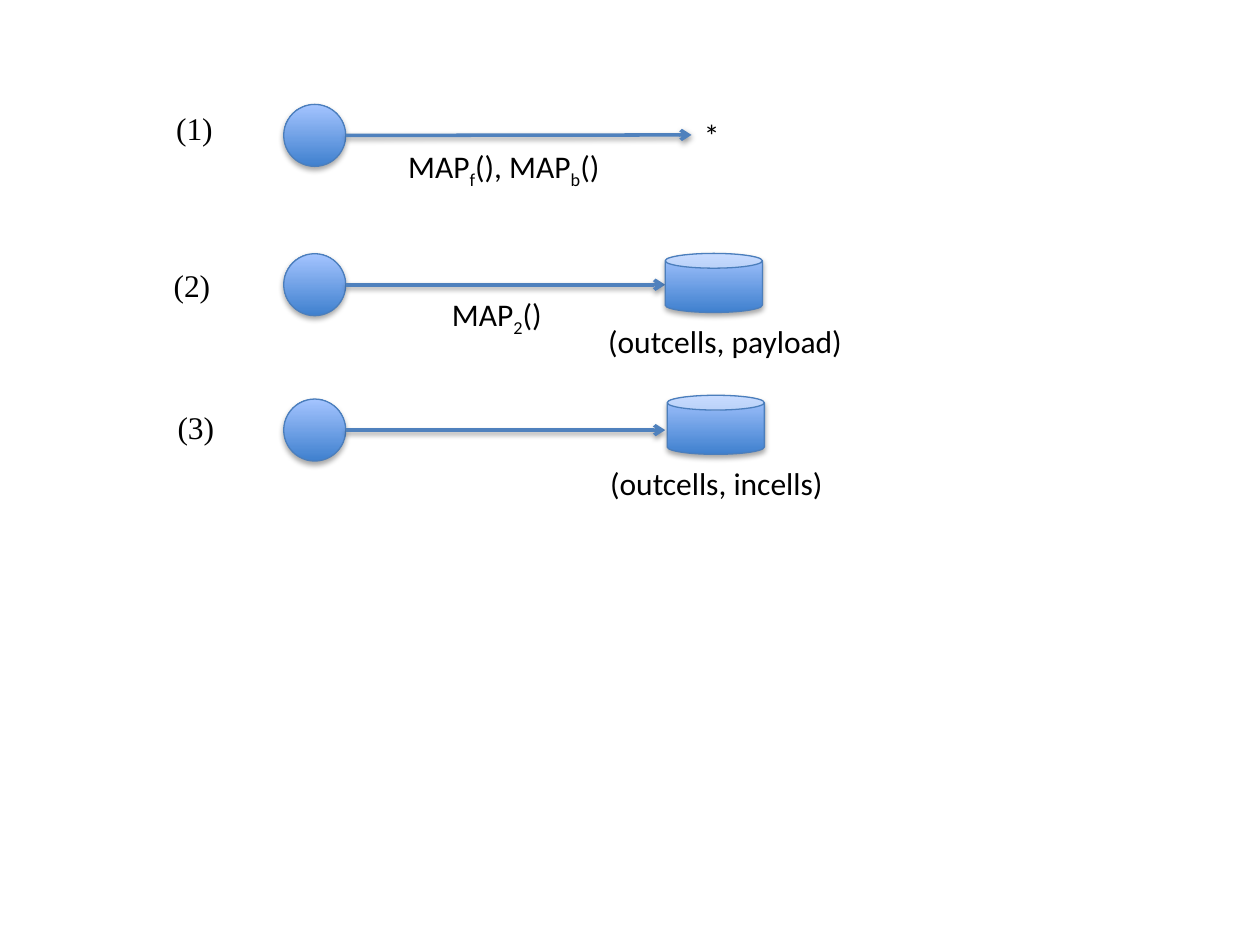
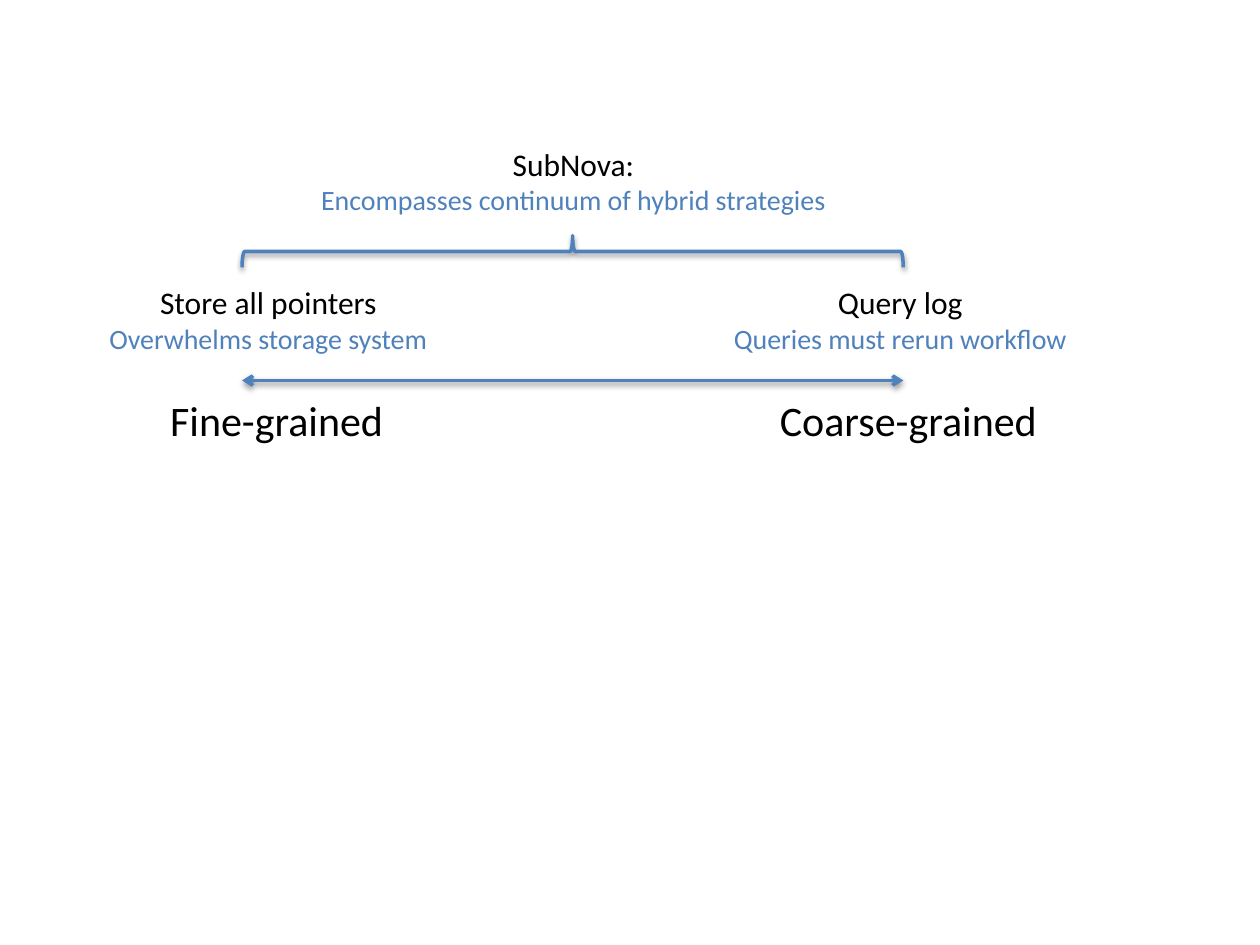
from lxml.etree import SubElement
from pptx import Presentation
from pptx.dml.color import RGBColor
from pptx.enum.shapes import MSO_CONNECTOR, MSO_SHAPE
from pptx.enum.text import MSO_AUTO_SIZE, PP_ALIGN
from pptx.oxml.ns import qn
from pptx.util import Cm, Pt

BLACK = RGBColor(0x00, 0x00, 0x00)
BLUE = RGBColor(0x4F, 0x81, 0xBD)
OUTLINE = RGBColor(0x4B, 0x7E, 0xBC)
DEEP_BLUE = RGBColor(0x3F, 0x80, 0xCE)
PALE_BLUE = RGBColor(0xA4, 0xC4, 0xFF)


class Diagram:
    body_font = "Calibri"
    number_font = "Times New Roman"
    node_size = 1.25
    store_width, store_height = 1.96, 1.19

    def __init__(self):
        self.deck = Presentation()
        self.deck.slide_width = Cm(25.4)
        self.deck.slide_height = Cm(19.05)
        self.slide = None

    def new_slide(self):
        self.slide = self.deck.slides.add_slide(self.deck.slide_layouts[6])

    def cast_shadow(self, properties, distance, opacity):
        effects = properties.find(qn("a:effectLst"))
        if effects is None:
            effects = SubElement(properties, qn("a:effectLst"))
        shadow = SubElement(effects, qn("a:outerShdw"), blurRad=str(Pt(3.15)),
                            dist=str(Pt(distance)), dir="5400000", rotWithShape="0")
        color = SubElement(shadow, qn("a:srgbClr"), val=str(BLACK))
        SubElement(color, qn("a:alpha"), val=str(opacity * 1000))

    def solid(self, kind, left, top, width, height):
        shape = self.slide.shapes.add_shape(kind, Cm(left), Cm(top), Cm(width), Cm(height))
        shape.fill.gradient()
        shape.fill.gradient_angle = 90
        for stop, color in zip(shape.fill.gradient_stops, (DEEP_BLUE, PALE_BLUE)):
            stop.color.rgb = color
        shape.line.color.rgb = OUTLINE
        shape.line.width = Pt(0.75)
        shape.shadow.inherit = False
        self.cast_shadow(shape.element.spPr, 1.8, 35)

    def node(self, left, middle):
        self.solid(MSO_SHAPE.OVAL, left, middle - self.node_size / 2,
                   self.node_size, self.node_size)

    def store(self, left, top, contents, contents_width):
        self.solid(MSO_SHAPE.CAN, left, top, self.store_width, self.store_height)
        self.label(left - 1.4, top + 1.26, contents_width, contents)

    def arrow(self, start, end, both_ends=False):
        line = self.slide.shapes.add_connector(
            MSO_CONNECTOR.STRAIGHT, *(Cm(value) for value in start + end))
        line.line.color.rgb = BLUE
        line.line.width = Pt(2)
        properties = line.element.spPr
        outline = properties.find(qn("a:ln"))
        for tip in ("a:headEnd", "a:tailEnd")[0 if both_ends else 1:]:
            SubElement(outline, qn(tip), type="arrow")
        self.cast_shadow(properties, 1.6, 38)

    def brace(self, left, right, middle, depth):
        span = right - left
        brace = self.slide.shapes.add_shape(
            MSO_SHAPE.RIGHT_BRACE, Cm((left + right - depth) / 2), Cm(middle - span / 2),
            Cm(depth), Cm(span))
        brace.rotation = 270
        brace.fill.background()
        brace.line.color.rgb = BLUE
        brace.line.width = Pt(2)
        brace.shadow.inherit = False
        self.cast_shadow(brace.element.spPr, 1.6, 38)

    def text_frame(self, left, top, width, height):
        box = self.slide.shapes.add_textbox(Cm(left), Cm(top), Cm(width), Cm(height))
        box.text_frame.word_wrap = False
        box.text_frame.auto_size = MSO_AUTO_SIZE.SHAPE_TO_FIT_TEXT
        return box.text_frame

    def style(self, run, size, color=BLACK, font=body_font):
        run.font.size = Pt(size)
        run.font.name = font
        run.font.color.rgb = color

    def label(self, left, top, width, text, size=18, font=body_font):
        height = 1.03 if size == 18 else 1.28
        paragraph = self.text_frame(left, top, width, height).paragraphs[0]
        for index, part in enumerate(text.split("_")):
            run = paragraph.add_run()
            run.text = part
            self.style(run, size, font=font)
            if index % 2:
                run.font._element.set("baseline", "-25000")

    def caption(self, left, top, width, heading, remark):
        frame = self.text_frame(left, top, width, 1.7)
        frame.text = f"{heading}\n{remark}"
        for paragraph, size, color in zip(frame.paragraphs, (18, 16), (BLACK, BLUE)):
            paragraph.alignment = PP_ALIGN.CENTER
            self.style(paragraph.runs[0], size, color)


diagram = Diagram()

diagram.new_slide()
node_left = 5.72
node_right = node_left + diagram.node_size
mappings = [
    ("(1)", 3.3, 2.08, 2.73, (13.94, 2.72)),
    ("(2)", 3.25, 5.23, 5.74, (13.41, 5.74)),
    ("(3)", 3.33, 8.1, 8.67, (13.41, 8.67)),
]
for number, number_left, number_top, middle, target in mappings:
    diagram.node(node_left, middle)
    diagram.arrow((node_right, middle), target)
    diagram.label(number_left, number_top, 1.27, number, font=diagram.number_font)
diagram.label(13.94, 2.21, 0.84, "*")
diagram.label(7.98, 2.84, 4.45, "MAP_f_(), MAP_b_()")
diagram.label(8.86, 5.82, 2.36, "MAP_2_()")
diagram.store(13.41, 5.11, "(outcells, payload)", 5.28)
diagram.store(13.45, 7.97, "(outcells, incells)", 4.85)

diagram.new_slide()
fine_end, coarse_end = 4.88, 18.21
diagram.arrow((coarse_end, 7.67), (fine_end, 7.67), both_ends=True)
diagram.label(15.47, 7.82, 5.79, "Coarse-grained", size=24)
diagram.label(3.18, 7.82, 4.88, "Fine-grained", size=24)
diagram.caption(14.48, 5.59, 7.34, "Query log", "Queries must rerun workflow")
diagram.caption(1.88, 5.59, 7.06, "Store all pointers", "Overwhelms storage system")
diagram.brace(fine_end, coarse_end, 5.07, 0.64)
diagram.caption(6.1, 2.79, 10.92, "SubNova:", "Encompasses continuum of hybrid strategies")

diagram.deck.save("out.pptx")
